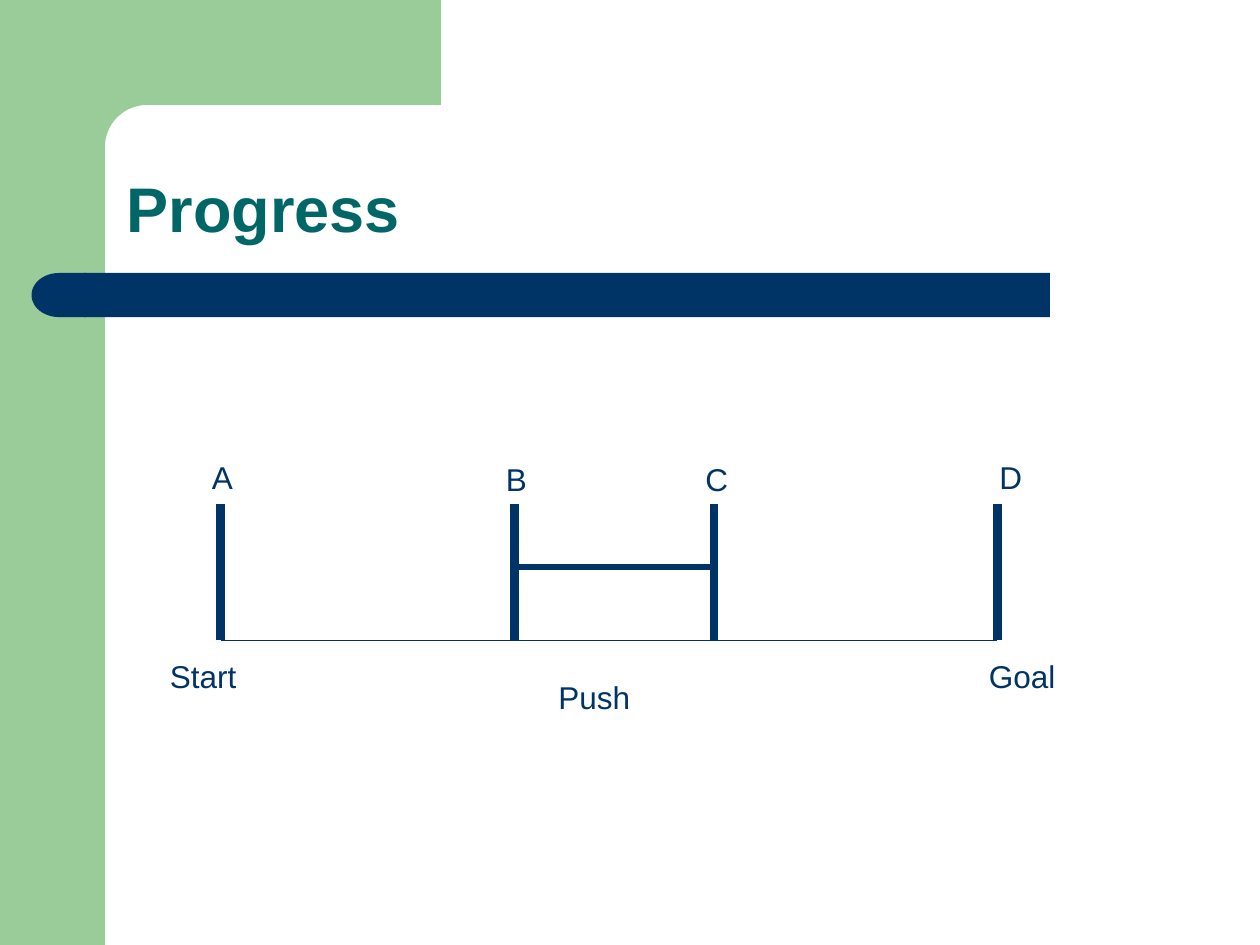
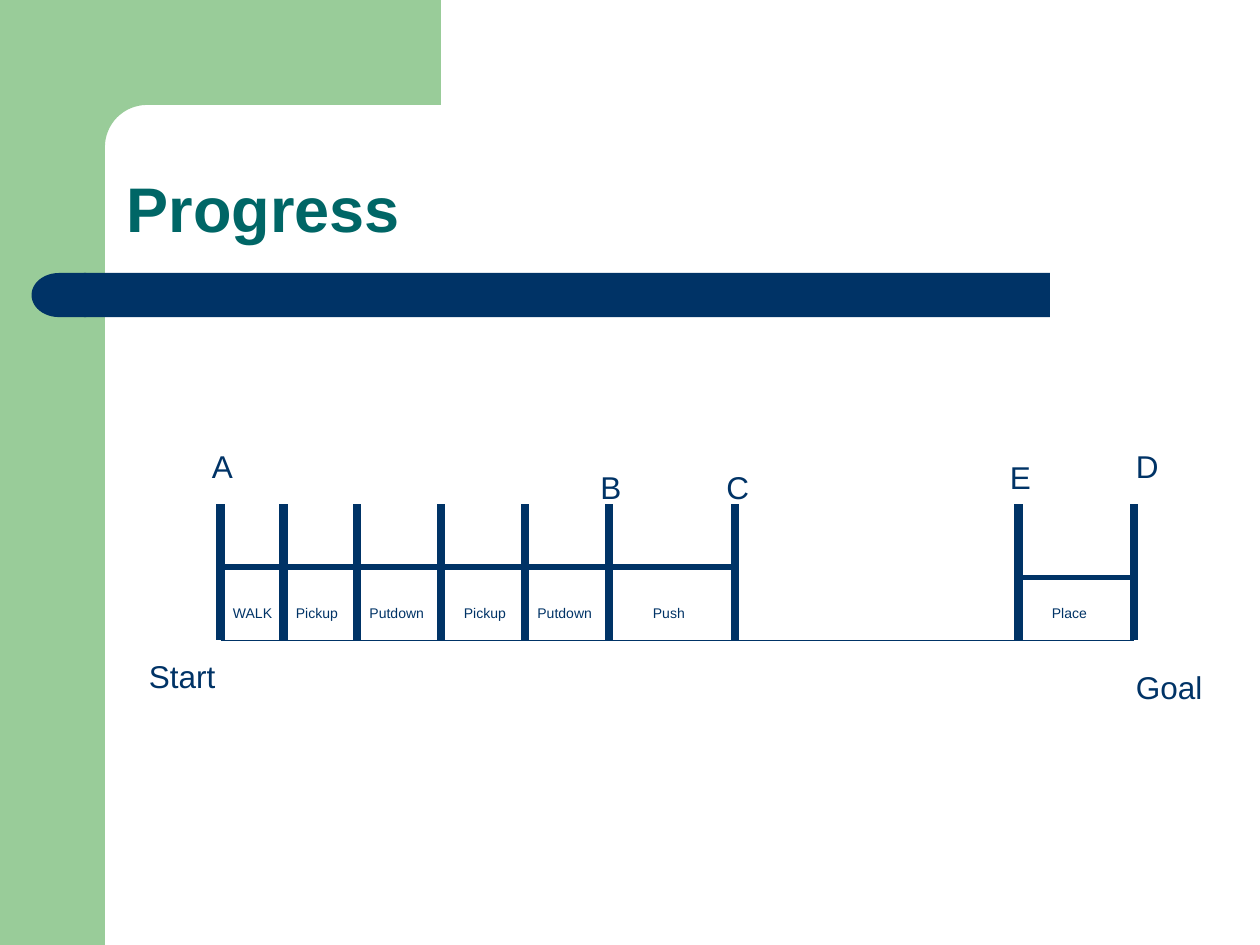
from dataclasses import dataclass
from math import cos, pi, sin

from lxml.etree import SubElement
from pptx import Presentation
from pptx.dml.color import RGBColor
from pptx.enum.shapes import MSO_CONNECTOR as Connector, MSO_SHAPE as Preset
from pptx.enum.text import MSO_ANCHOR as Anchor, MSO_AUTO_SIZE as AutoSize
from pptx.oxml.ns import qn
from pptx.shapes.autoshape import Shape
from pptx.slide import Slide
from pptx.util import Emu, Inches, Pt

GREEN = RGBColor(0x99, 0xCC, 0x99)
NAVY = RGBColor(0x00, 0x33, 0x66)
TEAL = RGBColor(0x00, 0x66, 0x66)
FONT = "Arial"

COLUMNS, ROWS = 120, 90
WIDTH, HEIGHT = Inches(10), Inches(7.5)

MARK_TOP, BASELINE = 48, 61
MARK_WEIGHT, SPAN_WEIGHT, BASE_WEIGHT = 5, 3, 0.75
STEP_ROW = 57


@dataclass(frozen=True)
class Label:
    text: str
    column: float
    row: float
    columns: float
    rows: float = 4.8
    size: float = 18
    color: RGBColor = NAVY
    bold: bool = False
    anchor: Anchor = Anchor.TOP


@dataclass(frozen=True)
class Span:
    start: float
    end: float
    row: float


@dataclass(frozen=True)
class Timeline:
    marks: tuple[float, ...]
    spans: tuple[Span, ...]
    labels: tuple[Label, ...]


def point(text: str, column: float, row: float) -> Label:
    return Label(text, column, row, 4)


def caption(text: str, column: float, row: float) -> Label:
    return Label(text, column, row, 14)


def step(text: str, column: float, columns: float = 7) -> Label:
    return Label(text, column, STEP_ROW, columns, rows=2.9, size=8)


TITLE = Label("Progress", 10.9, 10.9, 102.1, 13.1, 36, TEAL, True, Anchor.BOTTOM)

TIMELINES = (
    Timeline(
        marks=(21, 49, 68, 95),
        spans=(Span(49, 68, 54),),
        labels=(
            point("A", 19, 43),
            point("B", 47, 43.2),
            point("C", 66, 43.2),
            point("D", 94, 43),
            caption("Start", 15, 62),
            caption("Push", 52, 64),
            caption("Goal", 93, 62),
        ),
    ),
    Timeline(
        marks=(21, 27, 34, 42, 50, 58, 70, 97, 108),
        spans=(Span(21, 70, 54), Span(97, 108, 55)),
        labels=(
            point("A", 19, 42),
            point("B", 56, 44),
            point("C", 68, 44),
            point("E", 95, 43),
            point("D", 107, 42),
            caption("Start", 13, 62),
            caption("Goal", 107, 63),
            step("WALK", 21),
            step("Pickup", 27),
            step("Putdown", 34, 9),
            step("Pickup", 43),
            step("Putdown", 50, 9),
            step("Push", 61),
            step("Place", 99),
        ),
    ),
)


def across(columns: float) -> Emu:
    return Emu(round(WIDTH * columns / COLUMNS))


def down(rows: float) -> Emu:
    return Emu(round(HEIGHT * rows / ROWS))


def paint(shape: Shape, color: RGBColor) -> None:
    shape.shadow.inherit = False
    shape.fill.solid()
    shape.fill.fore_color.rgb = color
    shape.line.fill.background()


def draw_block(slide: Slide, preset: Preset, column: float, row: float,
               columns: float, rows: float, color: RGBColor) -> Shape:
    block = slide.shapes.add_shape(
        preset, across(column), down(row), across(columns), down(rows))
    paint(block, color)
    return block


def draw_corner(slide: Slide) -> None:
    left, right, inner, edge, bottom, radius = 6, 42, 10, 10, 15.4, 4
    steps = 16
    curve = [
        (inner + radius * (1 - sin(pi / 2 * i / steps)),
         edge + radius * (1 - cos(pi / 2 * i / steps)))
        for i in range(steps + 1)
    ]
    outline = [(right, edge), *curve, (inner, bottom), (left, bottom), (left, 0)]
    builder = slide.shapes.build_freeform(across(right), 0)
    builder.add_line_segments([(across(x), down(y)) for x, y in outline], close=True)
    paint(builder.convert_to_shape(), GREEN)


def draw_line(slide: Slide, start: tuple[float, float],
              end: tuple[float, float], weight: float) -> None:
    line = slide.shapes.add_connector(
        Connector.STRAIGHT, across(start[0]), down(start[1]),
        across(end[0]), down(end[1]))
    line.line.color.rgb = NAVY
    line.line.width = Pt(weight)
    SubElement(line._element.spPr, qn("a:effectLst"))


def draw_label(slide: Slide, label: Label) -> None:
    box = slide.shapes.add_textbox(
        across(label.column), down(label.row), across(label.columns), down(label.rows))
    frame = box.text_frame
    frame.text = label.text
    frame.word_wrap = True
    frame.vertical_anchor = label.anchor
    frame.auto_size = AutoSize.NONE if label is TITLE else AutoSize.SHAPE_TO_FIT_TEXT
    paragraph = frame.paragraphs[0]
    if label is TITLE:
        paragraph.line_spacing = 0.9
    font = paragraph.runs[0].font
    font.name = FONT
    font.size = Pt(label.size)
    font.bold = label.bold
    font.color.rgb = label.color


def draw_theme(slide: Slide) -> None:
    draw_block(slide, Preset.RECTANGLE, 0, 0, 10, ROWS, GREEN)
    draw_corner(slide)
    draw_block(slide, Preset.RECTANGLE, 8, 26, 92, 4.2, NAVY)
    band_cap = draw_block(slide, Preset.FLOWCHART_DELAY, 3, 26, 5.2, 4.2, NAVY)
    band_cap.rotation = 180
    draw_label(slide, TITLE)


def draw_timeline(slide: Slide, timeline: Timeline) -> None:
    first, last = timeline.marks[0], timeline.marks[-1]
    draw_line(slide, (first, BASELINE), (last, BASELINE), BASE_WEIGHT)
    for mark in timeline.marks:
        draw_line(slide, (mark, MARK_TOP), (mark, BASELINE), MARK_WEIGHT)
    for span in timeline.spans:
        draw_line(slide, (span.start, span.row), (span.end, span.row), SPAN_WEIGHT)
    for label in timeline.labels:
        draw_label(slide, label)


def main() -> None:
    deck = Presentation()
    deck.slide_width, deck.slide_height = WIDTH, HEIGHT
    for timeline in TIMELINES:
        slide = deck.slides.add_slide(deck.slide_layouts[6])
        draw_theme(slide)
        draw_timeline(slide, timeline)
    deck.save("out.pptx")


if __name__ == "__main__":
    main()
